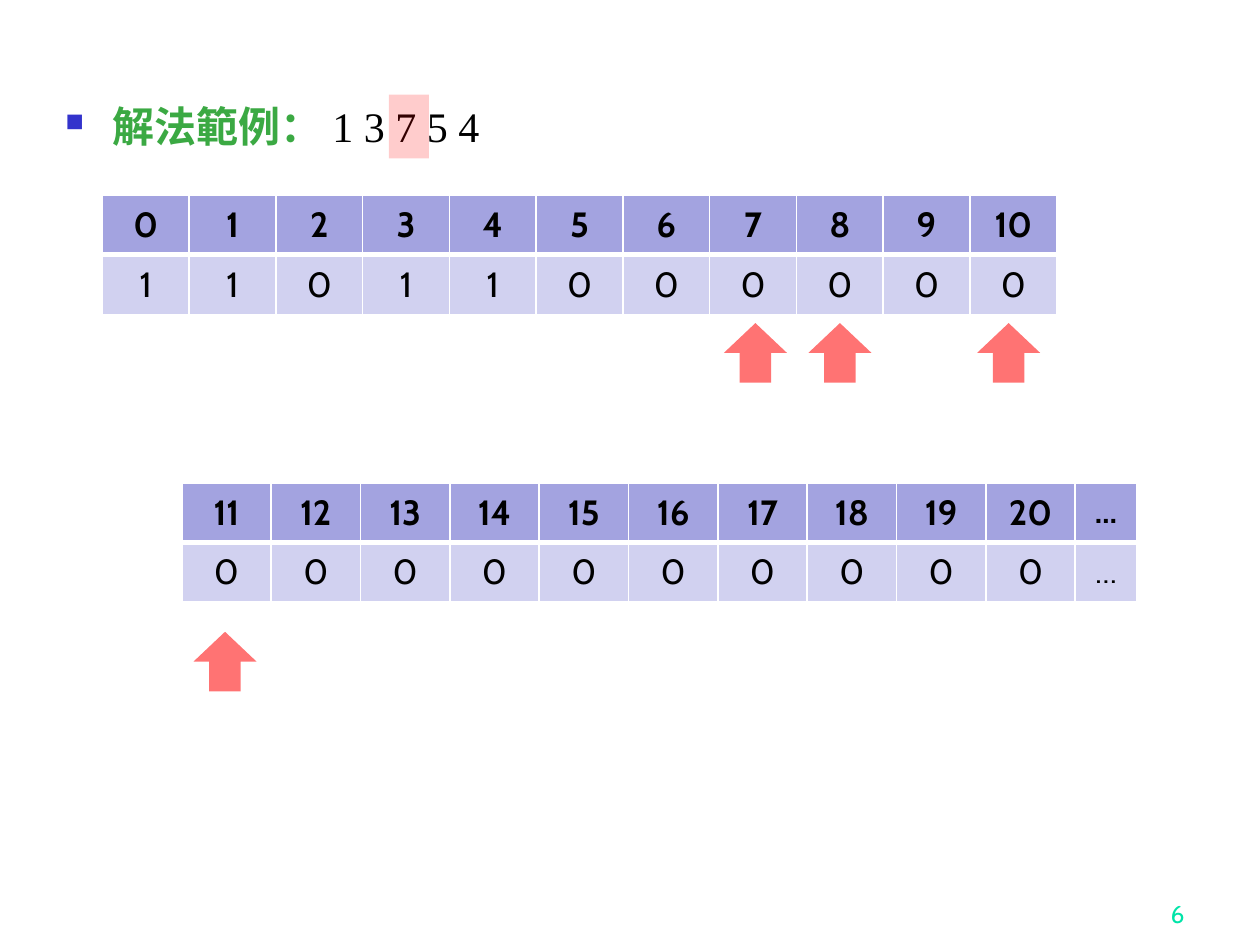
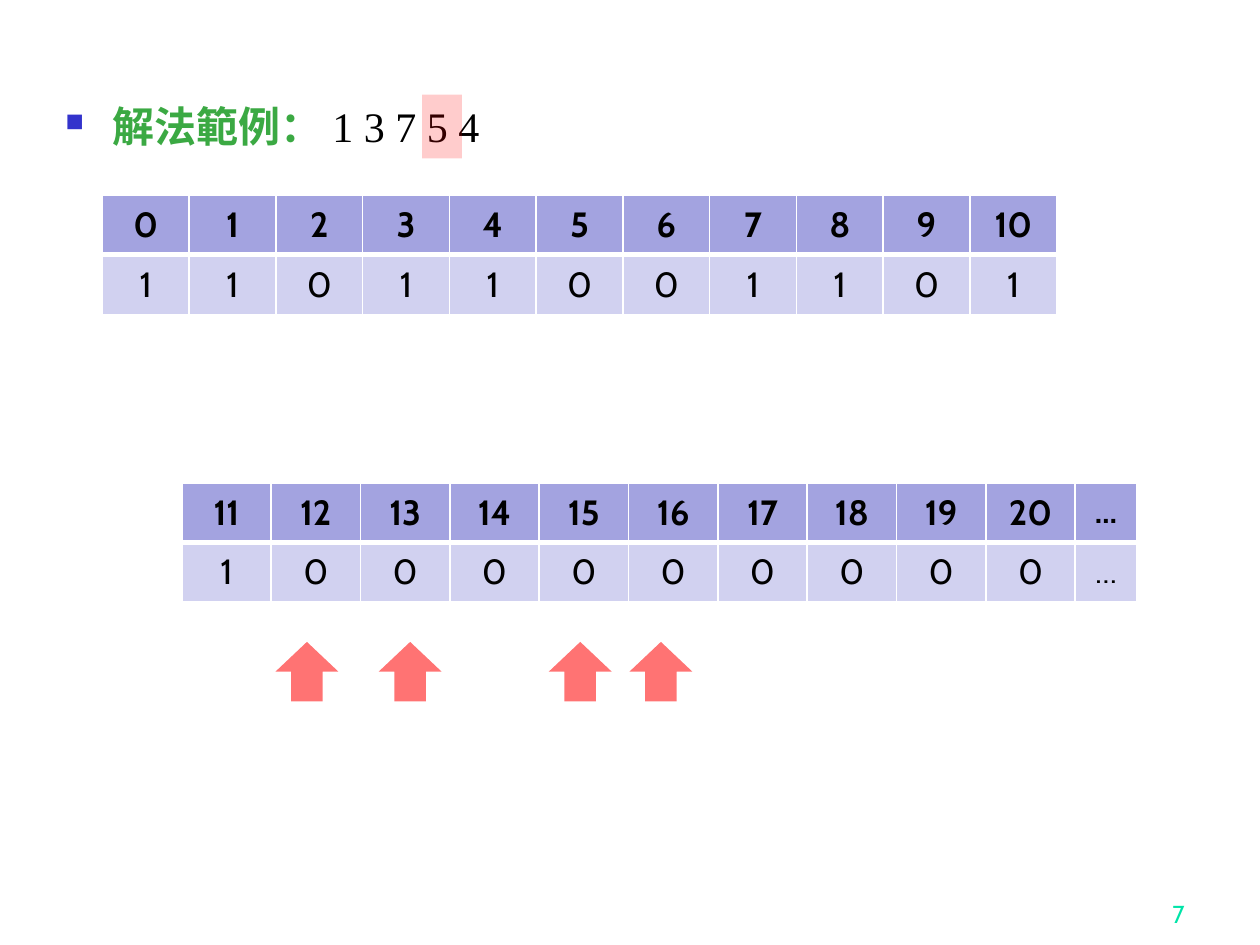
from dataclasses import dataclass

from lxml import etree
from pptx import Presentation
from pptx.dml.color import RGBColor
from pptx.enum.shapes import MSO_SHAPE
from pptx.enum.text import MSO_ANCHOR, MSO_AUTO_SIZE, PP_ALIGN
from pptx.oxml.ns import qn
from pptx.util import Pt

RECT, ARROW = MSO_SHAPE.RECTANGLE, MSO_SHAPE.RIGHT_ARROW
LEFT, CENTER, RIGHT = PP_ALIGN.LEFT, PP_ALIGN.CENTER, PP_ALIGN.RIGHT
TOP, MIDDLE, BOTTOM = MSO_ANCHOR.TOP, MSO_ANCHOR.MIDDLE, MSO_ANCHOR.BOTTOM
FIT_SHAPE = MSO_AUTO_SIZE.SHAPE_TO_FIT_TEXT
TITLE_ONLY = 5

# Shared look
SANS, SERIF = "Cabin", "Times New Roman"
BLACK, WHITE, RED = "000000", "FFFFFF", "FF0000"
GREEN, BULLET_BLUE, PAGE_GREEN = "3BA943", "3333CC", "00E4A8"
HEADER_FILL, BODY_FILL = "A3A3E0", "D1D1F0"

# Shared places, in points
HEADING_TOP, HEADING_HEIGHT = 54, 36.6
ROW_HEIGHT = 34
ARROW_WIDTH, ARROW_HEIGHT = 34, 36


@dataclass
class SumTable:
    left: float
    top: float
    widths: list[float]
    labels: list[str]


@dataclass
class Step:
    page: int
    heading_width: float
    marker_left: float
    flags: tuple[str, str]
    arrows: list[tuple[float, float]]


SUM_TABLES = [
    SumTable(58.5, 111.6, [49.6] * 11, [str(n) for n in range(11)]),
    SumTable(103.9, 275.9, [51.06] * 10 + [35.2],
             [str(n) for n in range(11, 21)] + ["…"]),
]

STEPS = [
    Step(6, 301.7, 222.3, ("11011000000", "0000000000…"),
         [(414.7, 183.6), (463, 183.6), (559.4, 183.6), (111.6, 360)]),
    Step(7, 279.4, 241.2, ("11011001101", "1000000000…"),
         [(left, 365.8) for left in (158.4, 217.4, 314.6, 360.7)]),
]


def rgb(color: str) -> RGBColor:
    return RGBColor.from_string(color)


def add_run(p, text: str, *, size: float, color: str = BLACK,
            font: str = SANS, bold: bool = False) -> None:
    r = p.add_run()
    r.text = text
    r.font.name, r.font.size, r.font.bold = font, Pt(size), bold
    r.font.color.rgb = rgb(color)


def add_marker(s, kind, left: float, top: float, width: float, height: float,
               opacity: int, rotation: float = 0) -> None:
    """Draw a see-through red shape without outline."""
    sp = s.shapes.add_shape(kind, Pt(left), Pt(top), Pt(width), Pt(height))
    sp.rotation = rotation
    sp.shadow.inherit = False
    sp.line.fill.background()
    sp.fill.solid()
    sp.fill.fore_color.rgb = rgb(RED)
    color = sp.fill._xPr.find(".//" + qn("a:srgbClr"))
    etree.SubElement(color, qn("a:alpha"), val=str(opacity * 1000))


def set_bullet(p) -> None:
    pPr = p._p.get_or_add_pPr()
    pPr.set("marL", str(Pt(27)))
    pPr.set("indent", str(Pt(-27)))
    color = etree.SubElement(pPr, qn("a:buClr"))
    etree.SubElement(color, qn("a:srgbClr"), val=BULLET_BLUE)
    etree.SubElement(pPr, qn("a:buSzPct"), val="60000")
    etree.SubElement(pPr, qn("a:buChar"), char="■")


def add_heading(s, width: float) -> None:
    title = s.shapes.title
    title.left, title.top = Pt(30.2), Pt(HEADING_TOP)
    title.width, title.height = Pt(width), Pt(HEADING_HEIGHT)
    tf = title.text_frame
    tf.word_wrap, tf.auto_size, tf.vertical_anchor = True, FIT_SHAPE, TOP
    p = tf.paragraphs[0]
    p.alignment = LEFT
    set_bullet(p)
    add_run(p, "解法範例： ", size=24, color=GREEN, font=SERIF, bold=True)
    add_run(p, "1 3 7 5 4", size=24, font=SERIF)


def add_page_number(s, page: int) -> None:
    box = s.shapes.add_textbox(Pt(534.2), Pt(498.2), Pt(149.8), Pt(36))
    tf = box.text_frame
    tf.word_wrap, tf.vertical_anchor = True, BOTTOM
    p = tf.paragraphs[0]
    p.alignment = RIGHT
    add_run(p, str(page), size=14, color=PAGE_GREEN)


def set_borders(cell, top: float, bottom: float) -> None:
    tcPr = cell._tc.get_or_add_tcPr()
    for side, width in (("L", 1), ("R", 1), ("T", top), ("B", bottom)):
        line = etree.SubElement(tcPr, qn("a:ln" + side), w=str(Pt(width)))
        fill = etree.SubElement(line, qn("a:solidFill"))
        etree.SubElement(fill, qn("a:srgbClr"), val=WHITE)


def add_sum_table(s, spec: SumTable, flags: str) -> None:
    frame = s.shapes.add_table(2, len(spec.widths), Pt(spec.left), Pt(spec.top),
                               Pt(sum(spec.widths)), Pt(2 * ROW_HEIGHT))
    table = frame.table
    table.horz_banding = False
    for column, width in zip(table.columns, spec.widths):
        column.width = Pt(width)
    for row, texts in enumerate((spec.labels, flags)):
        is_header = row == 0
        for col, text in enumerate(texts):
            cell = table.cell(row, col)
            set_borders(cell, *((1, 3) if is_header else (3, 1)))
            cell.fill.solid()
            cell.fill.fore_color.rgb = rgb(HEADER_FILL if is_header else BODY_FILL)
            cell.vertical_anchor = MIDDLE
            p = cell.text_frame.paragraphs[0]
            p.alignment = CENTER
            add_run(p, text, size=18 if text == "…" else 20, bold=is_header)


def add_step(prs, step: Step) -> None:
    s = prs.slides.add_slide(prs.slide_layouts[TITLE_ONLY])
    add_page_number(s, step.page)
    add_heading(s, step.heading_width)
    for table, flags in zip(SUM_TABLES, step.flags):
        add_sum_table(s, table, flags)
    # Current number, then the sums it makes reachable
    add_marker(s, RECT, step.marker_left, HEADING_TOP, 22.8, HEADING_HEIGHT, 20)
    for left, top in step.arrows:
        add_marker(s, ARROW, left, top, ARROW_WIDTH, ARROW_HEIGHT, 55, rotation=270)


def main() -> None:
    prs = Presentation()
    prs.slide_width, prs.slide_height = Pt(720), Pt(540)
    for step in STEPS:
        add_step(prs, step)
    prs.save("out.pptx")


if __name__ == "__main__":
    main()
